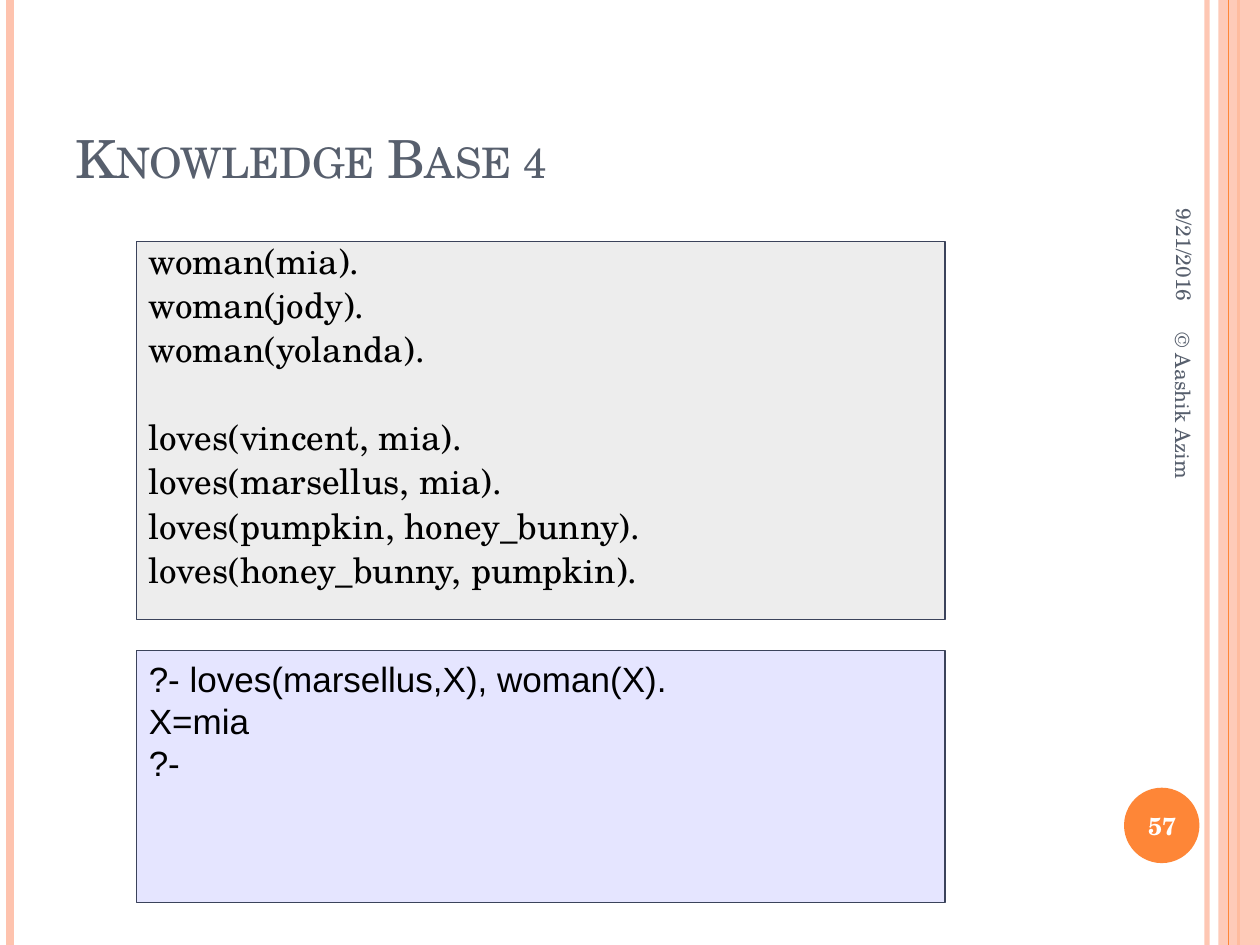
from lxml import etree
from pptx import Presentation
from pptx.dml.color import RGBColor
from pptx.enum.shapes import MSO_CONNECTOR, MSO_SHAPE
from pptx.enum.text import MSO_ANCHOR, PP_ALIGN
from pptx.oxml.ns import qn
from pptx.util import Cm, Pt

RECTANGLE, OVAL = MSO_SHAPE.RECTANGLE, MSO_SHAPE.OVAL
STRAIGHT = MSO_CONNECTOR.STRAIGHT
TOP, MIDDLE, BOTTOM = MSO_ANCHOR.TOP, MSO_ANCHOR.MIDDLE, MSO_ANCHOR.BOTTOM
LEFT, CENTER, RIGHT = PP_ALIGN.LEFT, PP_ALIGN.CENTER, PP_ALIGN.RIGHT

ORANGE = RGBColor(0xFE, 0x86, 0x37)
PEACH = RGBColor(0xFE, 0xC3, 0xAE)
SLATE = RGBColor(0x57, 0x5F, 0x6D)
NAVY = RGBColor(0x3B, 0x43, 0x5B)
GREY = RGBColor(0xDD, 0xDD, 0xDD)
LAVENDER = RGBColor(0xCC, 0xCC, 0xFF)
BLACK = RGBColor(0, 0, 0)
WHITE = RGBColor(0xFF, 0xFF, 0xFF)

SERIF, SANS = "TeX Gyre Schola", "Arial"
SLIDE_WIDTH, SLIDE_HEIGHT = 25.4, 19.05
PANEL_LEFT, PANEL_WIDTH = 2.75, 16.3

# x position, colour, width in points, opacity in percent
RULES_BEHIND_BAND = [
    (24.33, PEACH, 3, 93),
    (0.2, PEACH, 4.5, 100),
    (24.97, ORANGE, 1.5, 100),
]
RULES_OVER_BAND = [(24.77, ORANGE, 0.75, 100)]

FACT_GROUPS = [
    ["woman(mia).", "woman(jody).", "woman(yolanda)."],
    [
        "loves(vincent, mia).",
        "loves(marsellus, mia).",
        "loves(pumpkin, honey_bunny).",
        "loves(honey_bunny, pumpkin).",
    ],
]
QUERY = ["?- loves(marsellus,X), woman(X).", "X=mia", "?-"]


def set_opacity(color_format_owner, percent):
    """Add an alpha value to the solid colour inside a fill or line element."""
    if percent < 100:
        color = next(color_format_owner.iter(qn("a:srgbClr")))
        etree.SubElement(color, qn("a:alpha"), val=str(percent * 1000))


def add_rule(slide, x, color, width, opacity):
    """Draw a vertical line over the full slide height."""
    rule = slide.shapes.add_connector(STRAIGHT, Cm(x), 0, Cm(x), Cm(SLIDE_HEIGHT))
    rule.line.color.rgb = color
    rule.line.width = Pt(width)
    properties = rule._element.spPr
    set_opacity(properties, opacity)
    etree.SubElement(properties, qn("a:effectLst"))


def add_block(slide, preset, box, color, opacity=100, outline=None):
    block = slide.shapes.add_shape(preset, *map(Cm, box))
    block.shadow.inherit = False
    block.fill.solid()
    block.fill.fore_color.rgb = color
    set_opacity(block._element.spPr, opacity)
    if outline is None:
        block.line.fill.background()
    else:
        block.line.color.rgb = outline
        block.line.width = Pt(0.75)
    return block


def write_lines(shape, lines, color, anchor=TOP, align=LEFT, **font_format):
    """Fill a shape with one paragraph per line and return the paragraphs."""
    frame = shape.text_frame
    frame.word_wrap = True
    frame.vertical_anchor = anchor
    frame.text = "\n".join(lines)
    for paragraph in frame.paragraphs:
        paragraph.alignment = align
        font = paragraph.runs[0].font
        font.color.rgb = color
        for attribute, value in font_format.items():
            setattr(font, attribute, value)
    return frame.paragraphs


def add_label(slide, box, text, color, rotation=0, **text_format):
    label = slide.shapes.add_textbox(*map(Cm, box))
    label.rotation = rotation
    return write_lines(label, [text], color, name=SERIF, **text_format)[0]


def add_theme_edges(slide):
    for rule in RULES_BEHIND_BAND:
        add_rule(slide, *rule)
    add_block(slide, RECTANGLE, (24.56, 0, 0.84, SLIDE_HEIGHT), PEACH, 87)
    for rule in RULES_OVER_BAND:
        add_rule(slide, *rule)
    add_block(slide, OVAL, (22.66, 15.88, 1.52, 1.52), ORANGE)


def add_title(slide):
    title = add_label(slide, (1.27, 0.76, 20.75, 3.18), "Knowledge Base 4",
                      SLATE, anchor=BOTTOM, size=Pt(30))
    title.runs[0].font._element.set("cap", "small")


def add_knowledge_base(slide):
    panel = add_block(slide, RECTANGLE, (PANEL_LEFT, 4.87, PANEL_WIDTH, 7.62),
                      GREY, 50, NAVY)
    facts = sum(FACT_GROUPS, [])
    paragraphs = write_lines(panel, facts, BLACK, name=SERIF, size=Pt(20))
    loves_start = len(FACT_GROUPS[0])
    for index, paragraph in enumerate(paragraphs):
        paragraph.line_spacing = 0.8
        if index:
            paragraph.space_before = Pt(31 if index == loves_start else 6)


def add_query(slide):
    panel = add_block(slide, RECTANGLE, (PANEL_LEFT, 13.12, PANEL_WIDTH, 5.08),
                      LAVENDER, 50, NAVY)
    write_lines(panel, QUERY, BLACK, name=SANS, size=Pt(20))


def add_footer(slide):
    add_label(slide, (21.08, 3, 5.59, 1.07), "9/21/2016", SLATE, rotation=90,
              anchor=MIDDLE, align=RIGHT, size=Pt(12))
    add_label(slide, (19.41, 10.39, 8.89, 1.02), "© Aashik Azim", SLATE,
              rotation=90, anchor=MIDDLE, size=Pt(12))
    add_label(slide, (22.58, 15.93, 1.7, 1.45), "57", WHITE, anchor=MIDDLE,
              align=CENTER, size=Pt(14), bold=True)


def main():
    presentation = Presentation()
    presentation.slide_width = Cm(SLIDE_WIDTH)
    presentation.slide_height = Cm(SLIDE_HEIGHT)
    slide = presentation.slides.add_slide(presentation.slide_layouts[6])
    add_theme_edges(slide)
    add_title(slide)
    add_knowledge_base(slide)
    add_query(slide)
    add_footer(slide)
    presentation.save("out.pptx")


if __name__ == "__main__":
    main()
